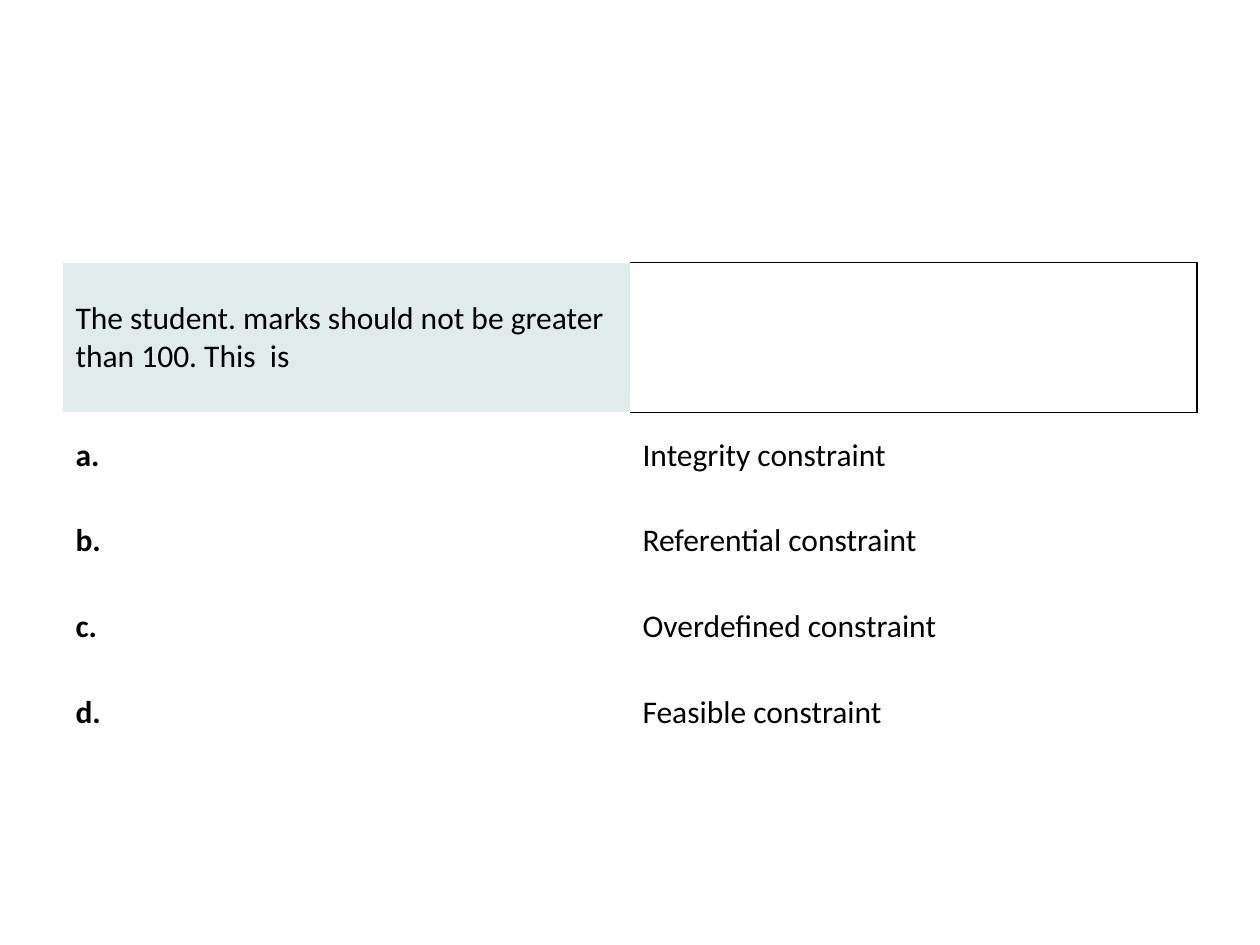
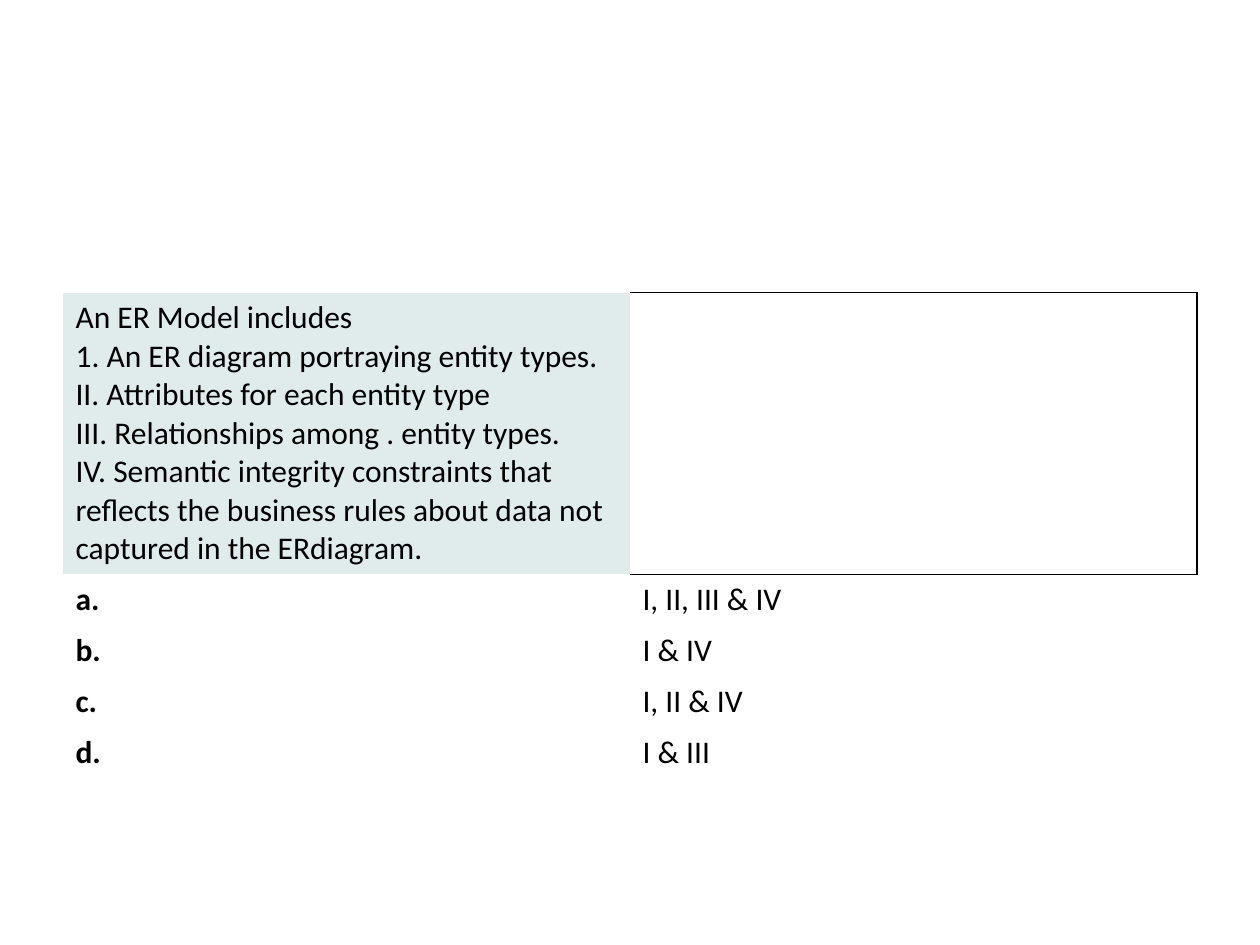
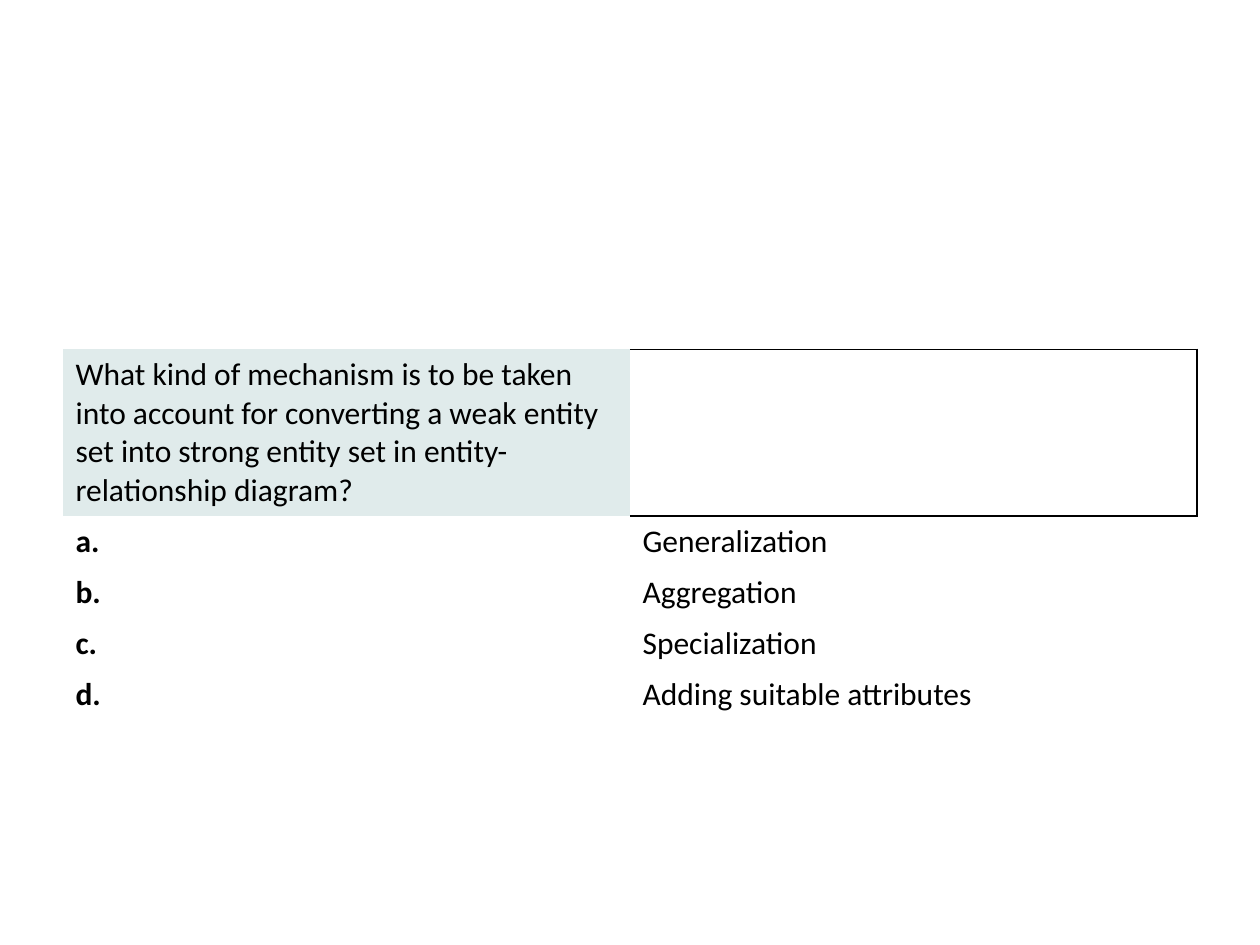
from lxml.etree import SubElement
from pptx import Presentation
from pptx.dml.color import RGBColor
from pptx.enum.text import MSO_ANCHOR
from pptx.oxml.ns import qn
from pptx.util import Pt

FONT = "Calibri"
INK = "000000"
QUESTION_FILL = "E0EBEB"
NO_STYLE = "{2D5ABB26-0587-4C30-8999-92F81FD0307C}"
LEFT, COL_WIDTH = 36, 324

QUIZ = [
    (150, 85.7, 49,
     "The student. marks should not be greater than 100. This \u00a0is",
     ["Integrity constraint", "Referential constraint",
      "Overdefined constraint", "Feasible constraint"]),
    (167.2, 161, 29.16,
     "An ER Model includes\n"
     "1. An ER diagram portraying entity types.\n"
     "II. Attributes for each entity type\n"
     "III. Relationships among . entity types.\n"
     "IV. Semantic integrity constraints that reflects the business rules "
     "about data not captured in the ERdiagram.",
     ["I, II, III & IV", "I & IV", "I, II & IV", "I & III"]),
    (199.6, 95.2, 29.16,
     "What kind of mechanism is to be taken into account for converting a "
     "weak entity set into strong entity set in entity-relationship diagram?",
     ["Generalization", "Aggregation", "Specialization",
      "Adding suitable attributes"]),
]


def rgb(value):
    """Return the colour for a hex string."""
    return RGBColor.from_string(value)


def add_borders(cell, sides):
    """Draw thin lines on the given sides of a cell."""
    tc_pr = cell._tc.get_or_add_tcPr()
    for side in sides:
        ln = SubElement(tc_pr, qn(f"a:ln{side}"), w=str(Pt(1)))
        fill = SubElement(ln, qn("a:solidFill"))
        SubElement(fill, qn("a:srgbClr"), val=INK)


def set_cell(cell, text, bold=False, fill=None, borders=""):
    """Write and format one table cell."""
    add_borders(cell, borders)
    cell.vertical_anchor = MSO_ANCHOR.MIDDLE
    if fill:
        cell.fill.solid()
        cell.fill.fore_color.rgb = rgb(fill)
    else:
        cell.fill.background()
    p = cell.text_frame.paragraphs[0]
    p.text = text
    p.font.name = FONT
    p.font.size = Pt(18)
    p.font.bold = bold
    p.font.color.rgb = rgb(INK)


def add_question(prs, top, question_height, answer_height, question, answers):
    """Add a slide with a question and its lettered answers."""
    slide = prs.slides.add_slide(prs.slide_layouts[6])
    heights = [question_height] + [answer_height] * len(answers)
    table = slide.shapes.add_table(
        len(heights), 2, Pt(LEFT), Pt(top),
        Pt(2 * COL_WIDTH), Pt(sum(heights))).table
    table.first_row = table.horz_banding = False
    table._tbl.tblPr.find(qn("a:tableStyleId")).text = NO_STYLE
    for row, height in zip(table.rows, heights):
        row.height = Pt(height)
    set_cell(table.cell(0, 0), question, fill=QUESTION_FILL)
    set_cell(table.cell(0, 1), "", borders="RTB")
    for i, (letter, answer) in enumerate(zip("abcd", answers), 1):
        set_cell(table.cell(i, 0), f"{letter}.", bold=True)
        set_cell(table.cell(i, 1), answer)


def main():
    """Build and save the quiz slides."""
    prs = Presentation()
    prs.slide_width, prs.slide_height = Pt(720), Pt(540)
    for item in QUIZ:
        add_question(prs, *item)
    prs.save("out.pptx")


main()
